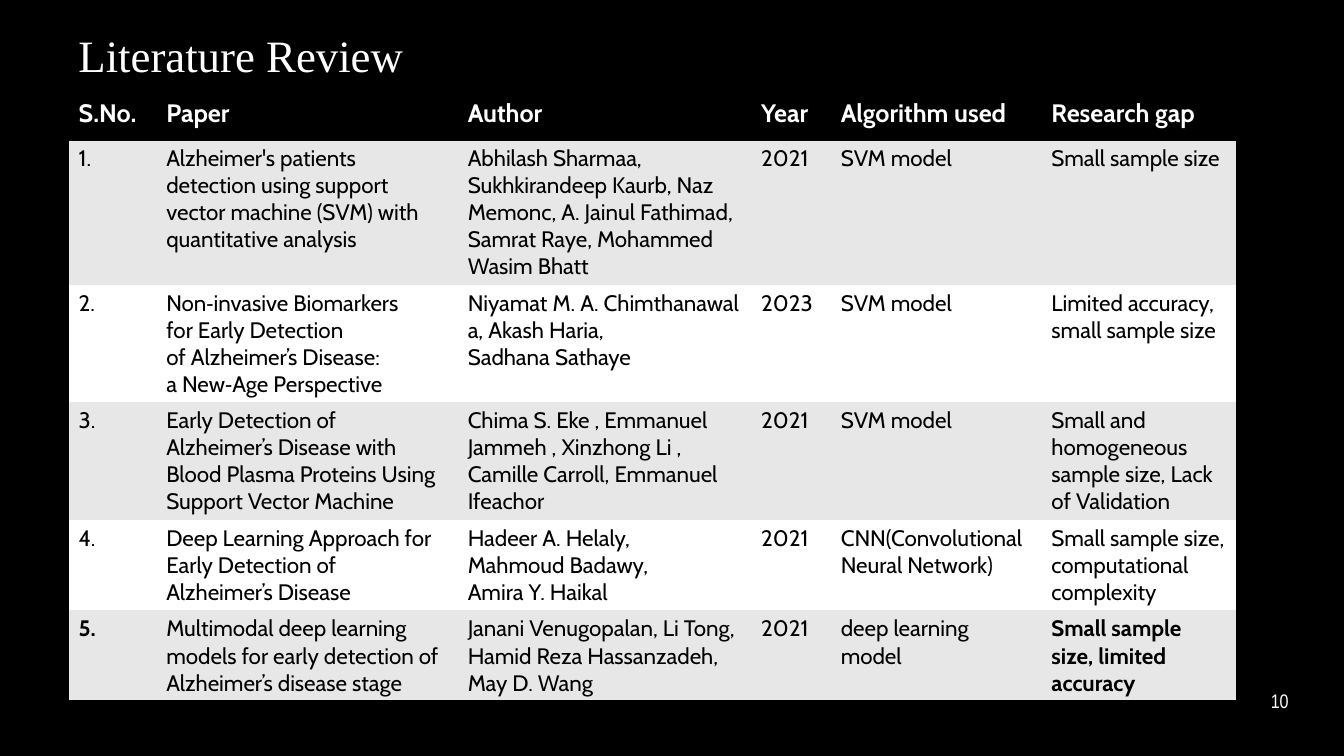
from lxml.etree import SubElement as Sub
from pptx import Presentation
from pptx.dml.color import RGBColor as RGB
from pptx.enum.text import MSO_ANCHOR as Anchor, PP_ALIGN as Align
from pptx.oxml import parse_xml
from pptx.oxml.ns import nsdecls, qn
from pptx.util import Inches, Pt

BLACK = RGB(0x00, 0x00, 0x00)
WHITE = RGB(0xFF, 0xFF, 0xFF)
GREY = RGB(0xE7, 0xE7, 0xE7)
NBSP = chr(160)  # "~" in the texts below stands for this space
PLAIN = "{2D5ABB26-0587-4C30-8999-92F81FD0307C}"  # table style without grid

WIDTHS = [0.87, 2.99, 2.91, 0.79, 2.09, 1.93]
ROWS = [
    ["S.No.", "Paper", "Author", "Year", "Algorithm used", "Research gap"],
    ["1.",
     "Alzheimer's patients detection using support vector machine (SVM) "
     "with quantitative analysis",
     "Abhilash Sharmaa, Sukhkirandeep Kaurb, Naz Memonc, "
     "A. Jainul Fathimad, Samrat Raye, Mohammed Wasim Bhatt",
     "2021", "SVM model", "Small sample size"],
    ["2.",
     "Non‑invasive Biomarkers for~Early Detection of~Alzheimer’s Disease: "
     "a~New‑Age Perspective",
     "Niyamat~M.~A.~Chimthanawala, Akash~Haria, Sadhana~Sathaye",
     "2023", "SVM model", "Limited accuracy, small sample size"],
    ["3.",
     "Early Detection of Alzheimer’s Disease with Blood Plasma Proteins "
     "Using Support Vector Machine",
     "Chima S. Eke , Emmanuel Jammeh , Xinzhong Li , Camille Carroll, "
     "Emmanuel Ifeachor",
     "2021", "SVM model",
     "Small and homogeneous sample size, Lack of Validation"],
    ["4.",
     "Deep Learning Approach for Early Detection of Alzheimer’s Disease",
     "Hadeer~A.~Helaly, Mahmoud~Badawy, Amira~Y.~Haikal",
     "2021", "CNN(Convolutional Neural Network)",
     "Small sample size, computational complexity"],
    ["5.",
     "Multimodal deep learning models for early detection of Alzheimer’s "
     "disease stage",
     "Janani Venugopalan, Li Tong, Hamid Reza Hassanzadeh, May D. Wang",
     "2021", "deep learning model", "Small sample size, limited accuracy"],
]


def put(frame, text, color, **style):
    """Write one run and set its font from the style values."""
    run = frame.paragraphs[0].add_run()
    run.text = text
    run.font.color.rgb = color
    for key, val in style.items():
        setattr(run.font, key, val)


def rule(cell, side):
    """Draw a black 2 pt border on one side of a cell."""
    line = parse_xml(f'<a:{side} {nsdecls("a")} w="{Pt(2)}"/>')
    fill = Sub(line, qn("a:solidFill"))
    Sub(fill, qn("a:srgbClr"), val=str(BLACK))
    cell.fill._xPr.find(qn("a:solidFill")).addprevious(line)


# Black slide
deck = Presentation()
deck.slide_width, deck.slide_height = Inches(13.33), Inches(7.5)
slide = deck.slides.add_slide(deck.slide_layouts[6])
back = slide.background.fill
back.solid()
back.fore_color.rgb = BLACK

# Title
title = slide.shapes.add_textbox(
    Inches(0.68), Inches(0.29), Inches(5.83), Inches(1.07)).text_frame
title.word_wrap = True
title.paragraphs[0].line_spacing = 0.9
put(title, "Literature Review", WHITE, size=Pt(32), name="Times New Roman")

# Table frame
table = slide.shapes.add_table(
    len(ROWS), len(WIDTHS),
    Inches(0.68), Inches(0.92), Inches(11.58), Inches(6.04)).table
table._tbl.tblPr.find(qn("a:tableStyleId")).text = PLAIN
table.horz_banding = False
for col, width in zip(table.columns, WIDTHS):
    col.width = Inches(width)

# Table cells
last = len(ROWS) - 1
for r, texts in enumerate(ROWS):
    head = r == 0
    table.rows[r].height = Inches(0.47 if head else 0.88)
    shade = BLACK if head else GREY if r % 2 else WHITE
    sides = ["lnT", "lnB"] if head else ["lnB"] if r == last else []
    for c, text in enumerate(texts):
        cell = table.cell(r, c)
        cell.fill.solid()
        cell.fill.fore_color.rgb = shade
        for side in sides:
            rule(cell, side)
        ends = r == last and c in (0, len(WIDTHS) - 1)
        put(cell.text_frame, text.replace("~", NBSP),
            WHITE if head else BLACK,
            size=Pt(18 if head else 16), name="Cabin", bold=head or ends)

# Page number
page = slide.shapes.add_textbox(
    Inches(11.63), Inches(6.8), Inches(1.25), Inches(0.3)).text_frame
page.word_wrap = True
page.vertical_anchor = Anchor.MIDDLE
page.paragraphs[0].alignment = Align.RIGHT
put(page, "10", WHITE, size=Pt(14), name="Arial Narrow")

deck.save("out.pptx")
